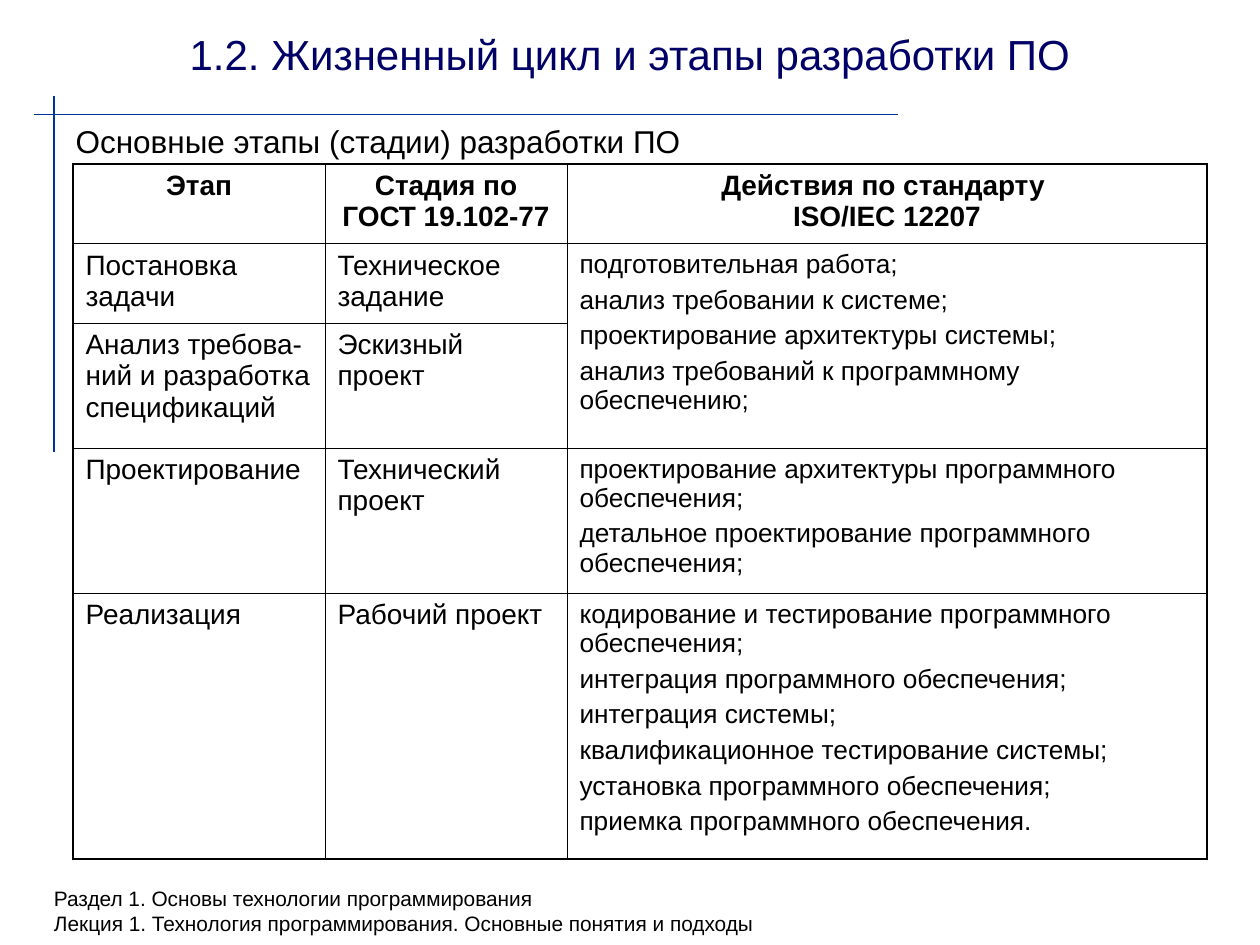
from dataclasses import dataclass
from typing import NamedTuple

from lxml.etree import SubElement
from pptx import Presentation
from pptx.dml.color import RGBColor
from pptx.enum.shapes import MSO_CONNECTOR
from pptx.enum.text import MSO_ANCHOR, MSO_AUTO_SIZE, PP_ALIGN
from pptx.oxml import parse_xml
from pptx.oxml.ns import nsdecls, qn
from pptx.util import Inches, Pt


@dataclass(frozen=True)
class Theme:
    font: str = "Arial"
    ink: str = "000000"
    title_ink: str = "000066"
    rule_ink: str = "003399"
    title_size: float = 24
    subtitle_size: float = 18
    stage_size: float = 16
    action_size: float = 15
    footer_size: float = 11.9
    rule_width: float = 1
    inner_border: float = 0.45
    outer_border: float = 1.08


class Box(NamedTuple):
    """A frame in percent of the slide's width and height."""
    left: float
    top: float
    width: float
    height: float


class Rule(NamedTuple):
    """A line between two points in percent of the slide's size."""
    x1: float
    y1: float
    x2: float
    y2: float


class Stage(NamedTuple):
    name: str
    standard_stage: str
    actions: list[str]


THEME = Theme()
SLIDE_WIDTH, SLIDE_HEIGHT = Inches(10), Inches(7.5)
TITLE_BOX = Box(5, 1.07, 90, 9.2)
SUBTITLE_BOX = Box(5, 12.27, 90, 6.93)
TABLE_BOX = Box(5.8, 17.33, 90, 73.47)
FOOTER_BOX = Box(3.3, 93.07, 90.8, 6.93)
RULES = [Rule(2.7, 12.13, 71.3, 12.13), Rule(4.3, 10.13, 4.3, 47.87)]
COLUMN_WIDTHS = [20, 19.2, 50.8]
ROW_HEIGHTS = [8.4, 8.4, 13.2, 15.33, 28.13]

TITLE = "1.2. Жизненный цикл и этапы разработки ПО"
SUBTITLE = "Основные этапы (стадии) разработки ПО"
FOOTER = [
    "Раздел 1. Основы технологии программирования",
    "Лекция 1. Технология программирования. Основные понятия и подходы",
]
HEADINGS = ["Этап", "Стадия по ГОСТ 19.102-77", "Действия по стандарту \vISO/IEC 12207"]
STAGES = [
    Stage("Постановка задачи", "Техническое задание", [
        "подготовительная работа;",
        "анализ требовании к системе;",
        "проектирование архитектуры системы;",
        "анализ требований к программному обеспечению;",
    ]),
    # Shares the actions of the stage above
    Stage("Анализ требова-ний и разработка спецификаций", "Эскизный проект", []),
    Stage("Проектирование", "Технический проект", [
        "проектирование архитектуры программного обеспечения;",
        "детальное проектирование программного обеспечения;",
    ]),
    Stage("Реализация", "Рабочий проект", [
        "кодирование и тестирование программного обеспечения;",
        "интеграция программного обеспечения;",
        "интеграция системы;",
        "квалификационное тестирование системы;",
        "установка программного обеспечения;",
        "приемка программного обеспечения.",
    ]),
]


def across(share: float) -> int:
    return round(SLIDE_WIDTH * share / 100)


def down(share: float) -> int:
    return round(SLIDE_HEIGHT * share / 100)


def frame(box: Box) -> tuple[int, int, int, int]:
    return across(box.left), down(box.top), across(box.width), down(box.height)


def write(text_frame, lines: list[str], *, size: float, color: str = THEME.ink,
          bold: bool = False, align=PP_ALIGN.LEFT, before: float = 0) -> None:
    for index, line in enumerate(lines):
        para = text_frame.paragraphs[0] if index == 0 else text_frame.add_paragraph()
        para.text = line
        para.alignment = align
        para.space_before = Pt(before)
        for span in para.runs:
            span.font.name = THEME.font
            span.font.size = Pt(size)
            span.font.bold = bold
            span.font.color.rgb = RGBColor.from_string(color)


def fill_placeholder(holder, box: Box, text: str, *, anchor, **text_format) -> None:
    holder.left, holder.top, holder.width, holder.height = frame(box)
    text_frame = holder.text_frame
    text_frame.auto_size = MSO_AUTO_SIZE.NONE
    text_frame.vertical_anchor = anchor
    write(text_frame, [text], **text_format)


def remove_bullet(para) -> None:
    properties = para._p.get_or_add_pPr()
    properties.set("marL", "0")
    properties.set("indent", "0")
    SubElement(properties, qn("a:buNone"))


def draw_rule(page, rule: Rule) -> None:
    line = page.shapes.add_connector(
        MSO_CONNECTOR.STRAIGHT,
        across(rule.x1), down(rule.y1), across(rule.x2), down(rule.y2))
    line.line.color.rgb = RGBColor.from_string(THEME.rule_ink)
    line.line.width = Pt(THEME.rule_width)
    SubElement(line._element.spPr, qn("a:effectLst"))


def draw_borders(cell, row: int, column: int) -> None:
    """Give the cell thick lines on the table's edge and thin ones inside."""
    on_edge = {
        "L": column == 0,
        "R": column == len(COLUMN_WIDTHS) - 1,
        "T": row == 0,
        "B": row == len(ROW_HEIGHTS) - 1,
    }
    properties = cell._tc.get_or_add_tcPr()
    for position, (side, outer) in enumerate(on_edge.items()):
        width = Pt(THEME.outer_border if outer else THEME.inner_border)
        properties.insert(position, parse_xml(
            f'<a:ln{side} {nsdecls("a")} w="{width}"><a:solidFill>'
            f'<a:srgbClr val="{THEME.ink}"/></a:solidFill></a:ln{side}>'))


def draw_stage_table(page) -> None:
    table = page.shapes.add_table(
        len(ROW_HEIGHTS), len(COLUMN_WIDTHS), *frame(TABLE_BOX)).table
    table.first_row = table.horz_banding = False
    for column, width in zip(table.columns, COLUMN_WIDTHS):
        column.width = across(width)
    for row, height in zip(table.rows, ROW_HEIGHTS):
        row.height = down(height)
    for row in range(len(ROW_HEIGHTS)):
        for column in range(len(COLUMN_WIDTHS)):
            cell = table.cell(row, column)
            cell.fill.background()
            draw_borders(cell, row, column)

    for column, heading in enumerate(HEADINGS):
        write(table.cell(0, column).text_frame, [heading], size=THEME.stage_size,
              bold=True, align=PP_ALIGN.CENTER, before=4)
    for row, stage in enumerate(STAGES, start=1):
        for column, text in enumerate([stage.name, stage.standard_stage]):
            write(table.cell(row, column).text_frame, [text],
                  size=THEME.stage_size, before=4)
        if stage.actions:
            write(table.cell(row, 2).text_frame, stage.actions,
                  size=THEME.action_size, before=3.7)
        else:
            table.cell(row - 1, 2).merge(table.cell(row, 2))


def main() -> None:
    deck = Presentation()
    deck.slide_width, deck.slide_height = SLIDE_WIDTH, SLIDE_HEIGHT
    page = deck.slides.add_slide(deck.slide_layouts[1])
    for rule in RULES:
        draw_rule(page, rule)
    footer = page.shapes.add_textbox(*frame(FOOTER_BOX)).text_frame
    footer.word_wrap = True
    write(footer, FOOTER, size=THEME.footer_size)
    fill_placeholder(page.shapes.title, TITLE_BOX, TITLE, anchor=MSO_ANCHOR.MIDDLE,
                     size=THEME.title_size, color=THEME.title_ink, align=PP_ALIGN.CENTER)
    body = page.placeholders[1]
    fill_placeholder(body, SUBTITLE_BOX, SUBTITLE, anchor=MSO_ANCHOR.TOP,
                     size=THEME.subtitle_size, before=4.5)
    remove_bullet(body.text_frame.paragraphs[0])
    draw_stage_table(page)
    deck.save("out.pptx")


if __name__ == "__main__":
    main()
